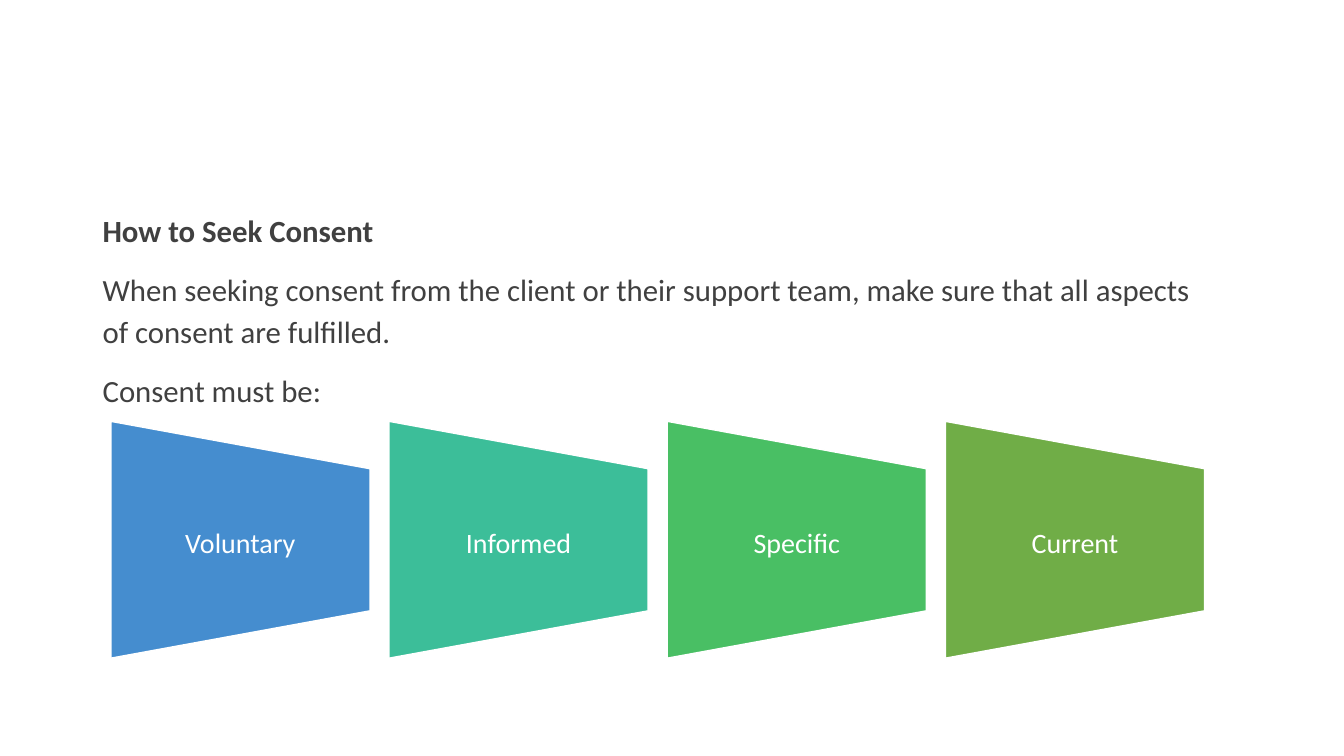
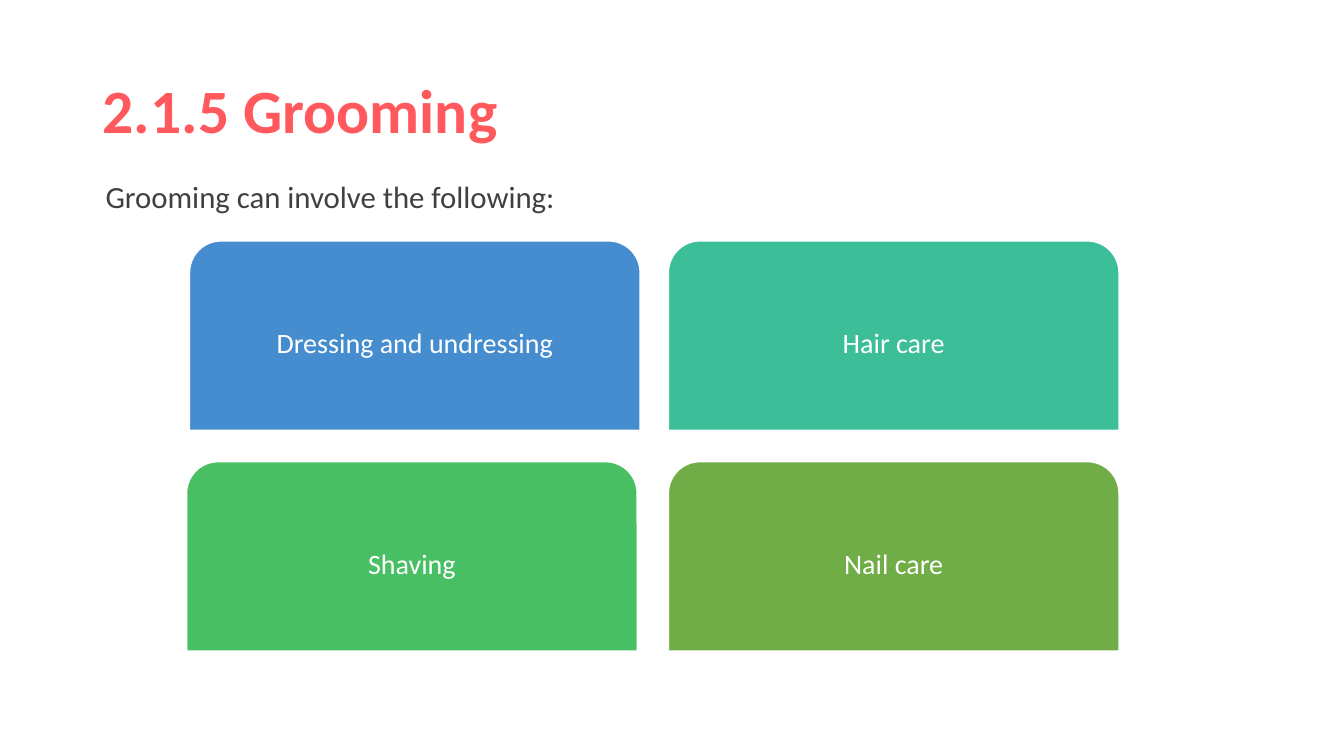
from pptx import Presentation
from pptx.dml.color import RGBColor
from pptx.enum.shapes import MSO_SHAPE
from pptx.enum.text import MSO_ANCHOR, PP_ALIGN
from pptx.util import Inches, Pt

TRAPEZOID = MSO_SHAPE.FLOWCHART_MANUAL_OPERATION
ROUND_TOP = MSO_SHAPE.ROUND_2_SAME_RECTANGLE
LEFT, CENTER = PP_ALIGN.LEFT, PP_ALIGN.CENTER
TOP, MIDDLE = MSO_ANCHOR.TOP, MSO_ANCHOR.MIDDLE

WHITE = RGBColor(0xFF, 0xFF, 0xFF)
CORAL = RGBColor(0xFF, 0x59, 0x5E)
GREY = RGBColor(0x40, 0x40, 0x40)
ACCENTS = [
    RGBColor(0x45, 0x8D, 0xCF),
    RGBColor(0x3C, 0xBE, 0x99),
    RGBColor(0x49, 0xBF, 0x64),
    RGBColor(0x70, 0xAD, 0x47),
]

TITLE_ONLY, BLANK = 5, 6
MARGIN, CONTENT_W = 6.9, 82.72


class Deck:
    font = "Calibri"
    title_size, body_size, label_size = 44, 22, 20
    spacing = 1.14

    def __init__(self):
        self.prs = Presentation()
        self.prs.slide_width = Inches(13.33)
        self.prs.slide_height = Inches(7.5)

    def box(self, x, y, w, h):
        sw, sh = self.prs.slide_width, self.prs.slide_height
        return [int(v * size / 100) for v, size in zip((x, y, w, h), (sw, sh, sw, sh))]

    def new_slide(self, layout):
        self.s = self.prs.slides.add_slide(self.prs.slide_layouts[layout])

    def set_text(self, sp, lines, size, color, align=LEFT, anchor=TOP,
                 bold_first=False, spacing=spacing, gap=0):
        tf = sp.text_frame
        tf.word_wrap = True
        tf.vertical_anchor = anchor
        tf.text = "\n".join(lines)
        for i, p in enumerate(tf.paragraphs):
            p.alignment = align
            p.line_spacing = spacing
            p.space_before, p.space_after = Pt(0), Pt(gap)
            p.font.name, p.font.size = self.font, Pt(size)
            p.font.bold = bold_first and i == 0
            p.font.color.rgb = color

    def title(self, text):
        sp = self.s.shapes.title
        sp.left, sp.top, sp.width, sp.height = self.box(MARGIN, 5.33, CONTENT_W, 19.33)
        self.set_text(sp, [text], self.title_size, CORAL, anchor=MIDDLE,
                      bold_first=True, spacing=0.9)

    def body(self, x, y, h, lines, bold_first=False):
        sp = self.s.shapes.add_textbox(*self.box(x, y, CONTENT_W, h))
        self.set_text(sp, lines, self.body_size, GREY, bold_first=bold_first, gap=12)

    def label(self, sp, text, inset_x, inset_y):
        tf = sp.text_frame
        tf.margin_left = tf.margin_right = Inches(inset_x)
        tf.margin_top = tf.margin_bottom = Inches(inset_y)
        self.set_text(sp, [text], self.label_size, WHITE, CENTER, MIDDLE)

    def block(self, kind, color, left, top, width, height):
        sp = self.s.shapes.add_shape(kind, left, top, width, height)
        sp.shadow.inherit = False
        sp.fill.solid()
        sp.fill.fore_color.rgb = color
        sp.line.color.rgb = WHITE
        sp.line.width = Pt(1)
        return sp

    def card(self, text, color, x, y, w, h):
        sp = self.block(ROUND_TOP, color, *self.box(x, y, w, h))
        self.label(sp, text, 0.08, 0.08)

    def funnel(self, text, color, x, y, w, h):
        left, top, width, height = self.box(x, y, w, h)
        shift = (width - height) // 2
        sp = self.block(TRAPEZOID, color, left + shift, top - shift, height, width)
        sp.rotation = 270
        self.label(self.s.shapes.add_textbox(left, top, width, height), text, 0.14, 0)


def consent_slide(deck):
    deck.new_slide(BLANK)
    deck.body(MARGIN, 26.67, 28, [
        "How to Seek Consent",
        "When seeking consent from the client or their support team, "
        "make sure that all aspects of consent are fulfilled.",
        "Consent must be:",
    ], bold_first=True)
    aspects = ["Voluntary", "Informed", "Specific", "Current"]
    for i, (text, color) in enumerate(zip(aspects, ACCENTS)):
        deck.funnel(text, color, 8.25 + i * 20.7, 55.73, 19.28, 31.33)


def grooming_slide(deck):
    deck.new_slide(TITLE_ONLY)
    deck.title("2.1.5 Grooming")
    deck.body(7.12, 22.13, 8, ["Grooming can involve the following:"])
    top, bottom, right = 31.87, 61.07, 49.73
    cards = [
        ("Dressing and undressing", 14.1, top),
        ("Hair care", right, top),
        ("Shaving", 13.88, bottom),
        ("Nail care", right, bottom),
    ]
    for (text, x, y), color in zip(cards, ACCENTS):
        deck.card(text, color, x, y, 33.53, 25.07)


def main():
    deck = Deck()
    consent_slide(deck)
    grooming_slide(deck)
    deck.prs.save("out.pptx")


if __name__ == "__main__":
    main()
